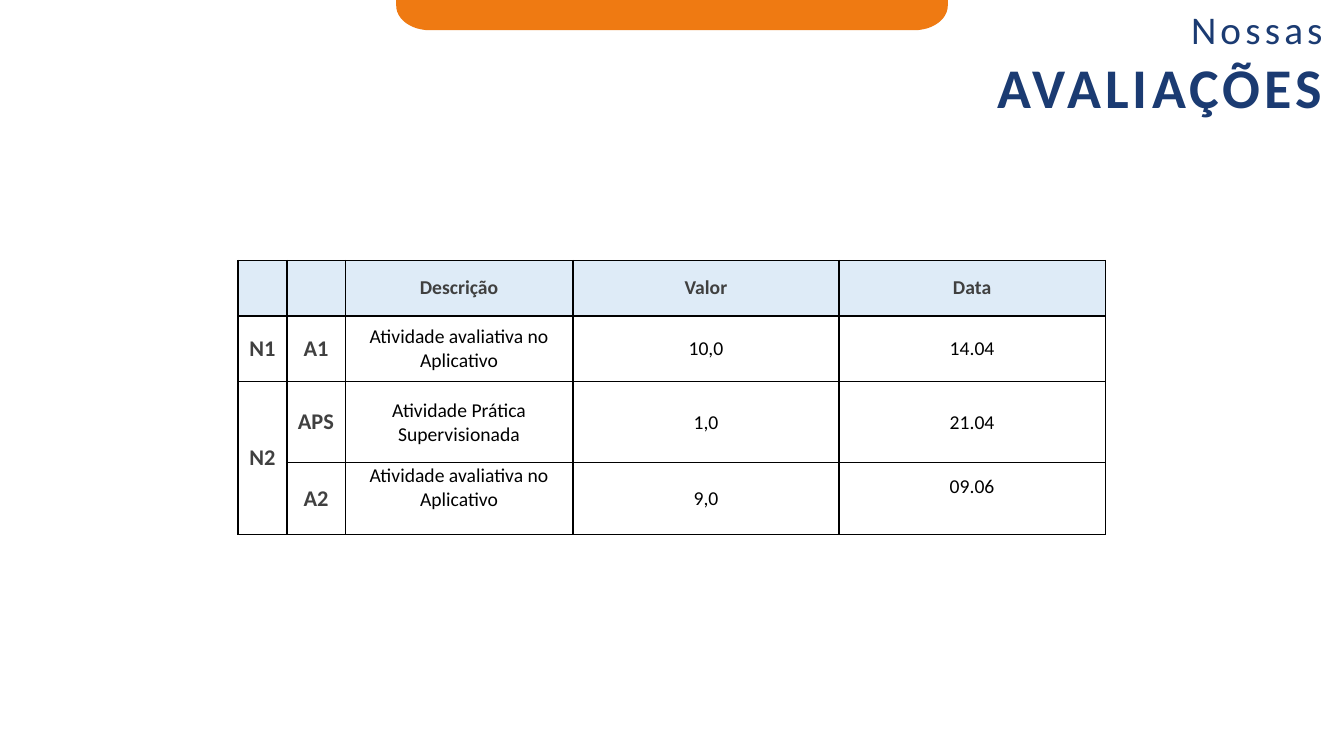
import math
from lxml import etree
from pptx import Presentation
from pptx.dml import color
from pptx.enum import text
from pptx.oxml import ns
from pptx.util import Pt

NAVY, ORANGE, GREY, BLACK = "1B3B72", "EF7A12", "404040", "000000"
WHITE, PALE = "FFFFFF", "DEEBF7"
HEAD = {"size": Pt(14), "bold": True}
CODE = {"size": Pt(16), "bold": True}
BODY = {"size": Pt(14), "bold": False}
COLS = [34.8, 41.8, 162.7, 190.1, 190.1]
ROWS = [39.6, 46.8, 58, 51.4]
CELLS = [
    ["", "", "Descrição", "Valor", "Data"],
    ["N1", "A1", "Atividade avaliativa no Aplicativo", "10,0", "14.04"],
    ["N2", "APS", "Atividade Prática Supervisionada", "1,0", "21.04"],
    ["", "A2", "Atividade avaliativa no Aplicativo", "9,0", "09.06"],
]


def rgb(code):
    return color.RGBColor.from_string(code)


def paint(fill, code):
    fill.solid()
    fill.fore_color.rgb = rgb(code)


def style(font, look, code):
    for key, val in {"name": "Calibri", **look}.items():
        setattr(font, key, val)
    font.color.rgb = rgb(code)


def tab(slide, left, top, width, height):
    rx, ry = 24, 17.5
    right, base = left + width, top + height
    turns = [math.radians(step * 7.5) for step in range(13)]
    curve = [(right - rx + rx * math.cos(t), base - ry + ry * math.sin(t)) for t in turns]
    curve += [(left + right - x, y) for x, y in reversed(curve)]
    pen = slide.shapes.build_freeform(Pt(left), Pt(top), scale=1.0)
    pen.add_line_segments([(Pt(x), Pt(y)) for x, y in [(right, top)] + curve])
    shape = pen.convert_to_shape()
    shape.shadow.inherit = False
    paint(shape.fill, ORANGE)
    shape.line.fill.background()


def title(slide, left, top, width, height):
    box = slide.shapes.title
    for key, val in zip(("left", "top", "width", "height"), (left, top, width, height)):
        setattr(box, key, Pt(val))
    frame = box.text_frame
    frame.text = "Nossas\nAVALIAÇÕES"
    frame.auto_size = text.MSO_AUTO_SIZE.SHAPE_TO_FIT_TEXT
    frame.vertical_anchor = text.MSO_ANCHOR.TOP
    for para, size, bold in zip(frame.paragraphs, (28, 40), (False, True)):
        para.alignment = text.PP_ALIGN.RIGHT
        run = para.runs[0]
        style(run.font, {"size": Pt(size), "bold": bold}, NAVY)
        run.font._element.set("spc", "300")


def edge(cell, row, col):
    props = cell._tc.get_or_add_tcPr()
    thick = {"L": col == 1, "R": col == 0, "T": row == 1, "B": row == 0}
    for side, heavy in thick.items():
        line = etree.SubElement(props, ns.qn("a:ln" + side), w=str(Pt(1.5 if heavy else 1)))
        solid = etree.SubElement(line, ns.qn("a:solidFill"))
        etree.SubElement(solid, ns.qn("a:srgbClr"), val=BLACK)


def grid(slide, left, top, width, height):
    frame = slide.shapes.add_table(len(ROWS), len(COLS), Pt(left), Pt(top), Pt(width), Pt(height))
    table = frame.table
    table.horz_banding = table.first_row = False
    for col, size in zip(table.columns, COLS):
        col.width = Pt(size)
    for row, size in zip(table.rows, ROWS):
        row.height = Pt(size)
    for r, words in enumerate(CELLS):
        for c, word in enumerate(words):
            cell = table.cell(r, c)
            edge(cell, r, c)
            paint(cell.fill, WHITE if r else PALE)
            lift = 17 if r == 3 and c in (2, 4) else 0
            pad = 0.7 if r and c > 1 else 0
            look = {"margin_left": Pt(pad), "margin_right": Pt(pad), "margin_top": Pt(pad),
                    "margin_bottom": Pt(lift), "vertical_anchor": text.MSO_ANCHOR.MIDDLE}
            for key, val in look.items():
                setattr(cell, key, val)
            if word:
                cell.text = word
                para = cell.text_frame.paragraphs[0]
                para.alignment = text.PP_ALIGN.CENTER
                kind = HEAD if r == 0 else CODE if c < 2 else BODY
                style(para.runs[0].font, kind, BLACK if kind is BODY else GREY)
    table.cell(2, 0).merge(table.cell(3, 0))


def main():
    deck = Presentation()
    deck.slide_width, deck.slide_height = Pt(960), Pt(540)
    slide = deck.slides.add_slide(deck.slide_layouts[5])
    tab(slide, 283, -3.6, 394, 25.2)
    title(slide, 620, 0, 332, 90)
    grid(slide, 170, 186, sum(COLS), sum(ROWS))
    deck.save("out.pptx")


if __name__ == "__main__":
    main()
